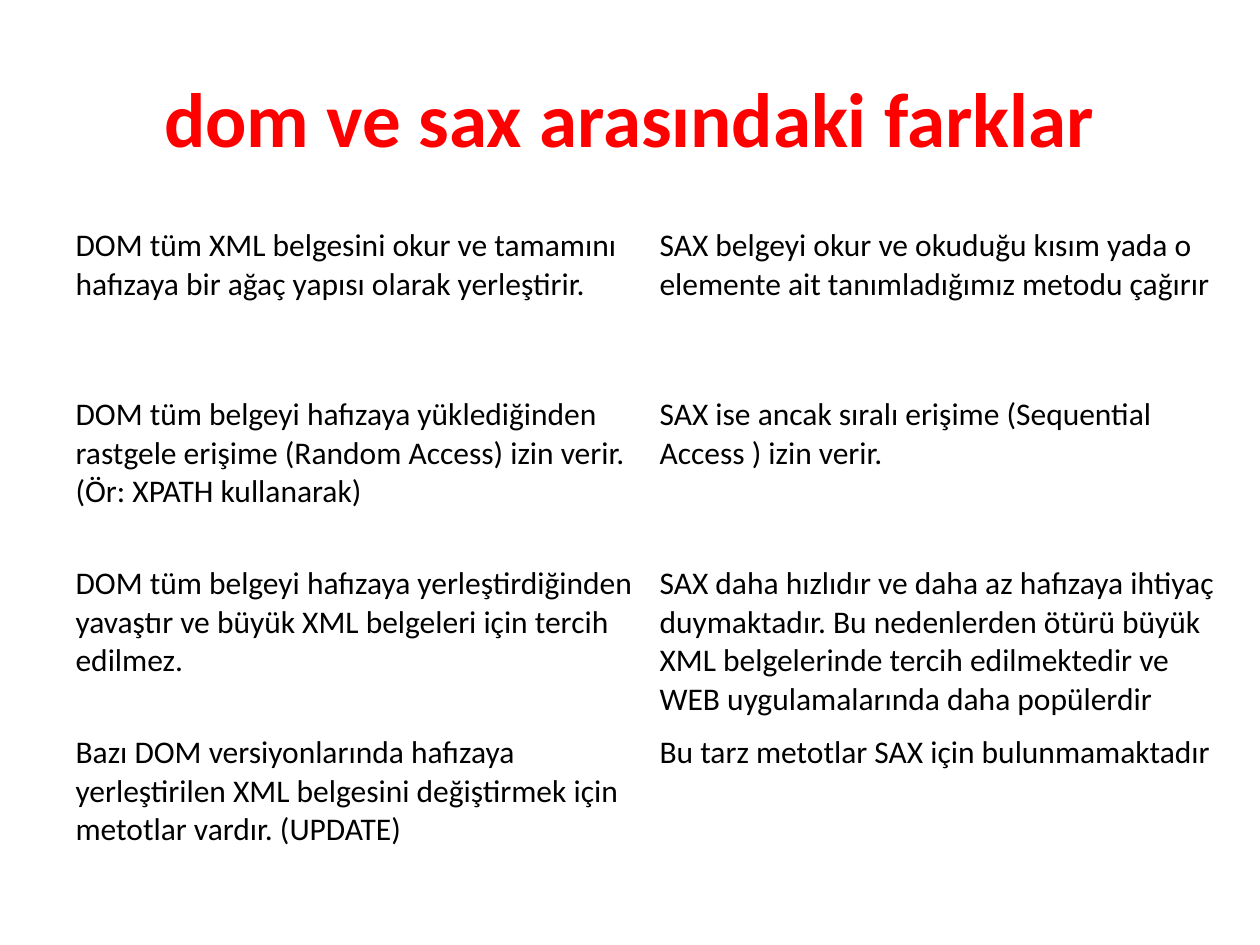
import dataclasses

import pptx
import pptx.dml.color
import pptx.enum.text
import pptx.util


@dataclasses.dataclass(frozen=True)
class Theme:
    font: str = "Calibri"
    title_color: str = "FF0000"
    body_color: str = "000000"
    title_size: float = 44
    body_size: float = 18


@dataclasses.dataclass(frozen=True)
class Difference:
    dom: tuple[str, ...]
    sax: tuple[str, ...]


THEME = Theme()
TITLE = "dom ve sax arasındaki farklar"
COLUMN_WIDTH = 333.72
ROW_HEIGHT = 96.57
DIFFERENCES = (
    Difference(
        dom=("DOM tüm XML belgesini okur ve tamamını hafızaya bir ağaç yapısı olarak yerleştirir.",),
        sax=("SAX belgeyi okur ve okuduğu kısım yada o elemente ait tanımladığımız metodu çağırır",),
    ),
    Difference(
        dom=(
            "DOM tüm belgeyi hafızaya yüklediğinden rastgele erişime (Random Access) izin verir.",
            "(Ör: XPATH kullanarak)",
        ),
        sax=("SAX ise ancak sıralı erişime (Sequential Access ) izin verir.",),
    ),
    Difference(
        dom=("DOM tüm belgeyi hafızaya yerleştirdiğinden yavaştır ve büyük XML belgeleri için tercih edilmez.",),
        sax=(
            "SAX daha hızlıdır ve daha az hafızaya ihtiyaç duymaktadır. Bu nedenlerden ötürü büyük "
            "XML belgelerinde tercih edilmektedir ve WEB uygulamalarında daha popülerdir",
        ),
    ),
    Difference(
        dom=(
            "Bazı DOM versiyonlarında hafızaya yerleştirilen XML belgesini değiştirmek için "
            "metotlar vardır. (UPDATE)",
        ),
        sax=("Bu tarz metotlar SAX için bulunmamaktadır",),
    ),
)


def write_text(
    frame: pptx.text.text.TextFrame,
    lines: tuple[str, ...],
    *,
    size: float = THEME.body_size,
    color: str = THEME.body_color,
    bold: bool = False,
    align: pptx.enum.text.PP_ALIGN = pptx.enum.text.PP_ALIGN.LEFT,
) -> None:
    frame.word_wrap = True
    for index, line in enumerate(lines):
        para = frame.add_paragraph() if index else frame.paragraphs[0]
        para.alignment = align
        span = para.add_run()
        span.text = line
        span.font.name = THEME.font
        span.font.size = pptx.util.Pt(size)
        span.font.bold = bold
        span.font.color.rgb = pptx.dml.color.RGBColor.from_string(color)


def add_title(page: pptx.slide.Slide) -> None:
    box = page.shapes.add_textbox(
        pptx.util.Pt(36), pptx.util.Pt(21.6), pptx.util.Pt(648), pptx.util.Pt(90)
    )
    box.text_frame.vertical_anchor = pptx.enum.text.MSO_ANCHOR.MIDDLE
    write_text(
        box.text_frame,
        (TITLE,),
        size=THEME.title_size,
        color=THEME.title_color,
        bold=True,
        align=pptx.enum.text.PP_ALIGN.CENTER,
    )


def add_comparison(page: pptx.slide.Slide, differences: tuple[Difference, ...]) -> None:
    table = page.shapes.add_table(
        len(differences),
        2,
        pptx.util.Pt(36),
        pptx.util.Pt(126),
        pptx.util.Pt(2 * COLUMN_WIDTH),
        pptx.util.Pt(len(differences) * ROW_HEIGHT),
    ).table
    table.first_row = False
    table.horz_banding = False
    for row, difference in zip(table.rows, differences):
        for cell, lines in zip(row.cells, (difference.dom, difference.sax)):
            cell.fill.background()
            write_text(cell.text_frame, lines)


def main() -> None:
    deck = pptx.Presentation()
    deck.slide_width = pptx.util.Pt(720)
    deck.slide_height = pptx.util.Pt(540)
    page = deck.slides.add_slide(deck.slide_layouts[6])
    add_title(page)
    add_comparison(page, DIFFERENCES)
    deck.save("out.pptx")


if __name__ == "__main__":
    main()
